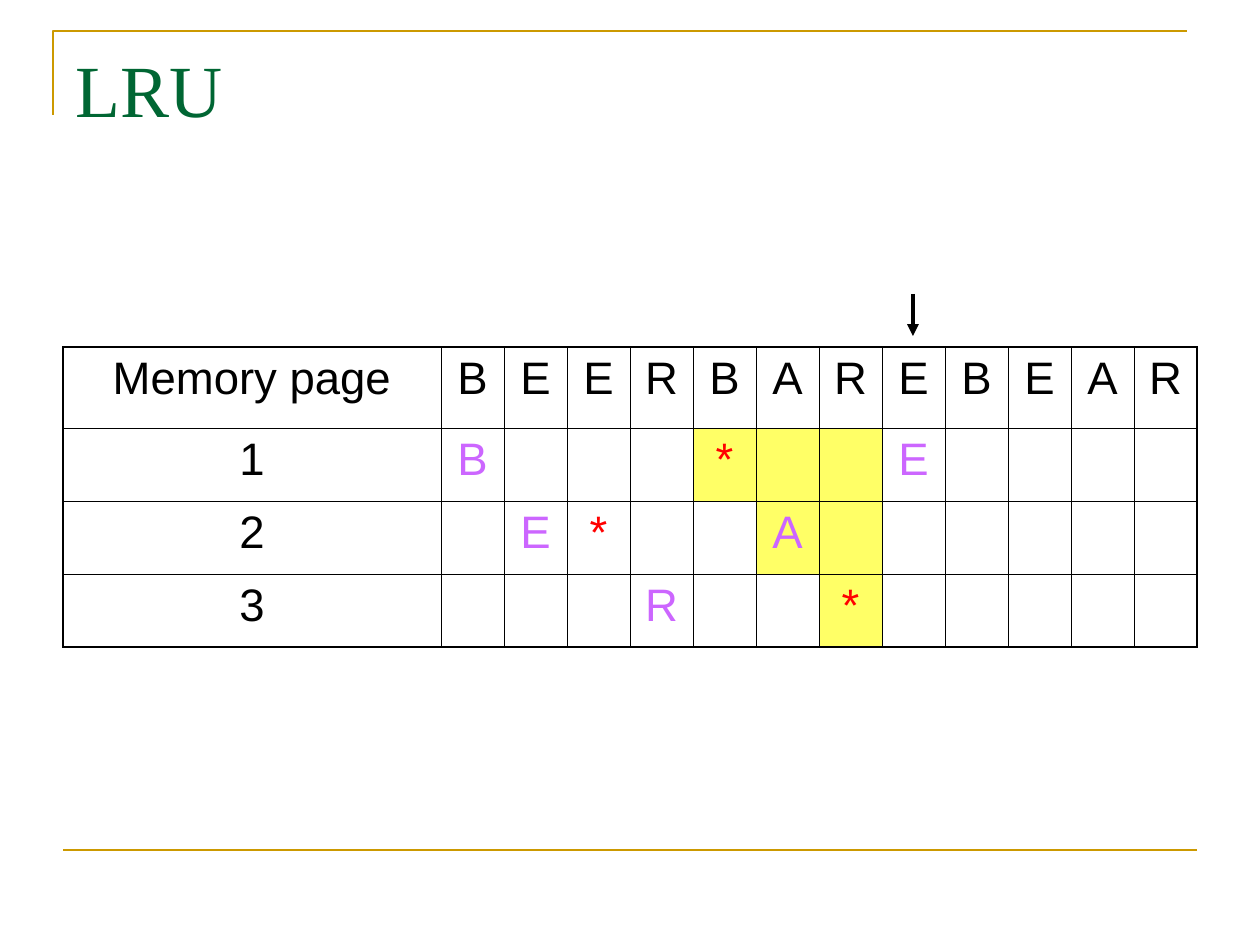
import lxml.etree
import pptx
import pptx.dml.color
import pptx.enum.shapes
import pptx.enum.text
import pptx.oxml.ns
import pptx.util

GOLD, BLACK, WHITE, YELLOW = "CC9900", "000000", "FFFFFF", "FFFF66"
GREEN, PURPLE, RED = "006633", "CC66FF", "FF0000"
REFERENCES = "BEERBAREBEAR"
FRAMES = ["B...*..E....", ".E*..A......", "...R..*....."]
HIGHLIGHTS = {(1, 5), (1, 6), (1, 7), (2, 6), (2, 7), (3, 7)}
LABEL_WIDTH, STEP_WIDTH, HEADER_HEIGHT, FRAME_HEIGHT = 378, 63, 81, 73


def px(length):
    """Turn px into EMU at 126 px to the inch."""
    return pptx.util.Emu(round(length * 914400 / 126))


def color(value):
    """Return the colour for a hex string."""
    return pptx.dml.color.RGBColor.from_string(value)


def add_child(parent, tag, **attributes):
    """Append a DrawingML element and return it."""
    return lxml.etree.SubElement(parent, pptx.oxml.ns.qn(tag), attributes)


def format_text(para, font, size, value):
    """Format the runs of a paragraph."""
    for span in para.runs:
        span.font.name = font
        span.font.size = pptx.util.Pt(size)
        span.font.color.rgb = color(value)


def add_line(page, start, end, value, width):
    """Draw a straight connector without shadow."""
    line = page.shapes.add_connector(
        pptx.enum.shapes.MSO_CONNECTOR.STRAIGHT, *map(px, start + end))
    line.line.color.rgb = color(value)
    line.line.width = pptx.util.Pt(width)
    add_child(line._element.spPr, "a:effectLst")
    return line


def add_frame(page, left, top, width, height):
    """Draw the corner at the top left and the rule at the foot."""
    builder = page.shapes.build_freeform(px(left), px(top + height))
    builder.add_line_segments(
        [(px(left), px(top)), (px(left + width), px(top))], close=False)
    corner = builder.convert_to_shape()
    corner.shadow.inherit = False
    corner.fill.background()
    corner.line.color.rgb = color(GOLD)
    corner.line.width = pptx.util.Pt(1.5)
    add_line(page, (63, 850), (1197, 850), GOLD, 1.5)


def add_title(page, left, top, width, height):
    """Place and format the title placeholder."""
    title = page.shapes.title
    title.left, title.top, title.width, title.height = map(px, (left, top, width, height))
    title.text_frame.text = "LRU"
    title.text_frame.vertical_anchor = pptx.enum.text.MSO_ANCHOR.TOP
    para = title.text_frame.paragraphs[0]
    para.alignment = pptx.enum.text.PP_ALIGN.LEFT
    format_text(para, "Times New Roman", 42, GREEN)


def border_cell(cell, outer_sides):
    """Give a cell thin borders, thicker on the outer sides."""
    properties = cell._tc.get_or_add_tcPr()
    for side in "LRTB":
        width = pptx.util.Pt(1.08 if side in outer_sides else 0.45)
        border = add_child(properties, f"a:ln{side}", w=str(width))
        add_child(add_child(border, "a:solidFill"), "a:srgbClr", val=BLACK)


def add_memory_table(page, left, top):
    """Build the table of references and the pages held in memory."""
    rows = [["Memory page", *REFERENCES]]
    rows += [[str(number), *frame.replace(".", " ")] for number, frame in enumerate(FRAMES, 1)]
    last_row, last_column = len(rows) - 1, len(REFERENCES)
    width = LABEL_WIDTH + last_column * STEP_WIDTH
    height = HEADER_HEIGHT + last_row * FRAME_HEIGHT
    table = page.shapes.add_table(
        last_row + 1, last_column + 1, px(left), px(top), px(width), px(height)).table
    table.first_row = table.horz_banding = False
    for index, column in enumerate(table.columns):
        column.width = px(STEP_WIDTH if index else LABEL_WIDTH)
    for row, texts in enumerate(rows):
        table.rows[row].height = px(FRAME_HEIGHT if row else HEADER_HEIGHT)
        for column, text in enumerate(texts):
            cell = table.cell(row, column)
            edges = {"L": column == 0, "R": column == last_column,
                     "T": row == 0, "B": row == last_row}
            border_cell(cell, [side for side, outer in edges.items() if outer])
            cell.fill.solid()
            cell.fill.fore_color.rgb = color(YELLOW if (row, column) in HIGHLIGHTS else WHITE)
            cell.text_frame.text = text.strip()
            para = cell.text_frame.paragraphs[0]
            para.alignment = pptx.enum.text.PP_ALIGN.CENTER
            value = RED if text == "*" else PURPLE if row and column else BLACK
            format_text(para, "Arial", 26, value)


def add_pointer(page, center, top, height):
    """Draw the arrow above the current reference."""
    arrow = add_line(page, (center, top), (center, top + height), BLACK, 2.25)
    add_child(arrow.line._get_or_add_ln(), "a:tailEnd", type="triangle")


def main():
    """Build and save the slide."""
    deck = pptx.Presentation()
    deck.slide_width, deck.slide_height = px(1260), px(945)
    page = deck.slides.add_slide(deck.slide_layouts[5])
    add_frame(page, 53, 31, 1134, 84)
    add_title(page, 63, 38, 1134, 157)
    add_memory_table(page, 63, 347)
    add_pointer(page, 913, 294, 42)
    deck.save("out.pptx")


if __name__ == "__main__":
    main()
